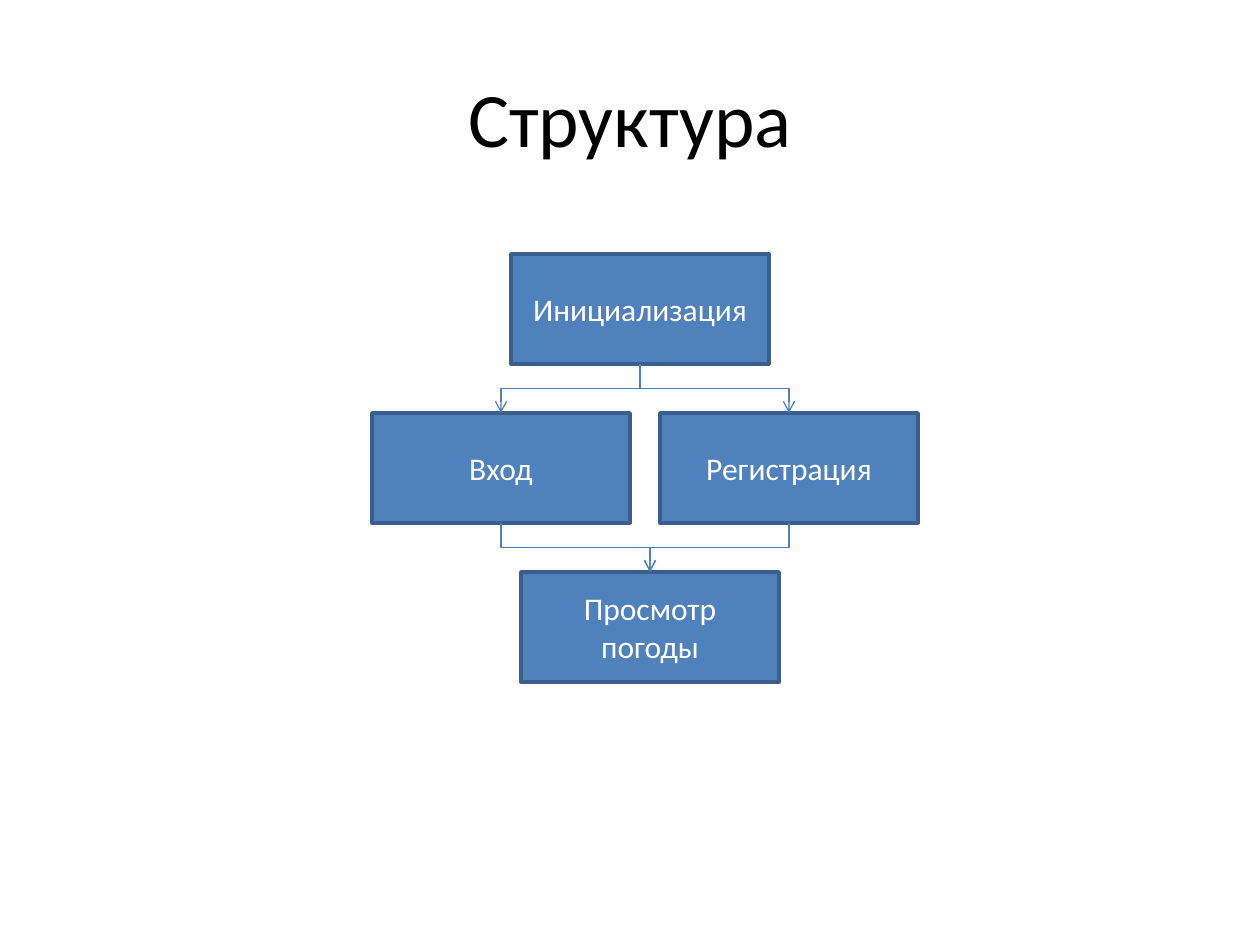
from lxml.etree import SubElement
from pptx import Presentation
from pptx.dml.color import RGBColor
from pptx.enum.shapes import MSO_CONNECTOR, MSO_SHAPE
from pptx.enum.text import MSO_ANCHOR, PP_ALIGN
from pptx.oxml.ns import qn
from pptx.util import Emu, Pt

RECTANGLE = MSO_SHAPE.RECTANGLE
ELBOW = MSO_CONNECTOR.ELBOW
MIDDLE = MSO_ANCHOR.MIDDLE
CENTER = PP_ALIGN.CENTER
TOP, BOTTOM = 0, 2
EMU_PER_PX = 914400 / 126
BOX_WIDTH, BOX_HEIGHT = 258, 110
FIRST_ROW, ROW_STEP = 254, 159
FONT = "Calibri"
COLORS = {
    "title": "000000",
    "label": "FFFFFF",
    "box": "4F81BD",
    "border": "3A5F8C",
    "arrow": "4B7EBC",
}


def px(length):
    return Emu(round(length * EMU_PER_PX))


class StructureSlide:
    """Holds the style and the slide that shows the program structure."""

    def __init__(self, slide):
        self.slide = slide

    def color(self, name):
        return RGBColor.from_string(COLORS[name])

    def set_text(self, shape, text, size, color):
        frame = shape.text_frame
        frame.word_wrap = True
        frame.vertical_anchor = MIDDLE
        frame.text = text
        paragraph = frame.paragraphs[0]
        paragraph.alignment = CENTER
        font = paragraph.runs[0].font
        font.name = FONT
        font.size = Pt(size)
        font.color.rgb = self.color(color)

    def title(self, text, left, top, width, height):
        shape = self.slide.shapes.add_textbox(px(left), px(top), px(width), px(height))
        self.set_text(shape, text, 44, "title")

    def box(self, text, left, row):
        top = FIRST_ROW + row * ROW_STEP
        shape = self.slide.shapes.add_shape(
            RECTANGLE, px(left), px(top), px(BOX_WIDTH), px(BOX_HEIGHT))
        shape.shadow.inherit = False
        shape.fill.solid()
        shape.fill.fore_color.rgb = self.color("box")
        shape.line.color.rgb = self.color("border")
        shape.line.width = Pt(2)
        self.set_text(shape, text, 18, "label")
        return shape

    def arrow(self, source, target):
        start_x, end_x = (box.left + box.width // 2 for box in (source, target))
        start_y, end_y = source.top + source.height, target.top
        connector = self.slide.shapes.add_connector(ELBOW, start_x, start_y, end_x, end_y)
        connector.begin_connect(source, BOTTOM)
        connector.end_connect(target, TOP)
        connector.line.color.rgb = self.color("arrow")
        connector.line.width = Pt(0.75)
        SubElement(connector.get_or_add_ln(), qn("a:tailEnd"), type="arrow")
        SubElement(connector.element.spPr, qn("a:effectLst"))
        self.turn_downward(connector, start_x, start_y, end_x, end_y)

    def turn_downward(self, connector, start_x, start_y, end_x, end_y):
        transform = connector.element.spPr.find(qn("a:xfrm"))
        transform.attrib.clear()
        if end_x < start_x:
            transform.set("rot", str(90 * 60000))
        else:
            transform.set("rot", str(270 * 60000))
            transform.set("flipH", "1")
        width, height = end_y - start_y, abs(end_x - start_x)
        connector.left = Emu((start_x + end_x - width) // 2)
        connector.top = Emu((start_y + end_y - height) // 2)
        connector.width, connector.height = Emu(width), Emu(height)


def main():
    presentation = Presentation()
    presentation.slide_width, presentation.slide_height = px(1260), px(945)
    page = StructureSlide(presentation.slides.add_slide(presentation.slide_layouts[6]))

    page.title("Структура", 63, 38, 1134, 158)
    start = page.box("Инициализация", 511, 0)
    registration = page.box("Регистрация", 660, 1)
    login = page.box("Вход", 372, 1)
    weather = page.box("Просмотр погоды", 521, 2)
    for step in (login, registration):
        page.arrow(start, step)
        page.arrow(step, weather)

    presentation.save("out.pptx")


if __name__ == "__main__":
    main()
